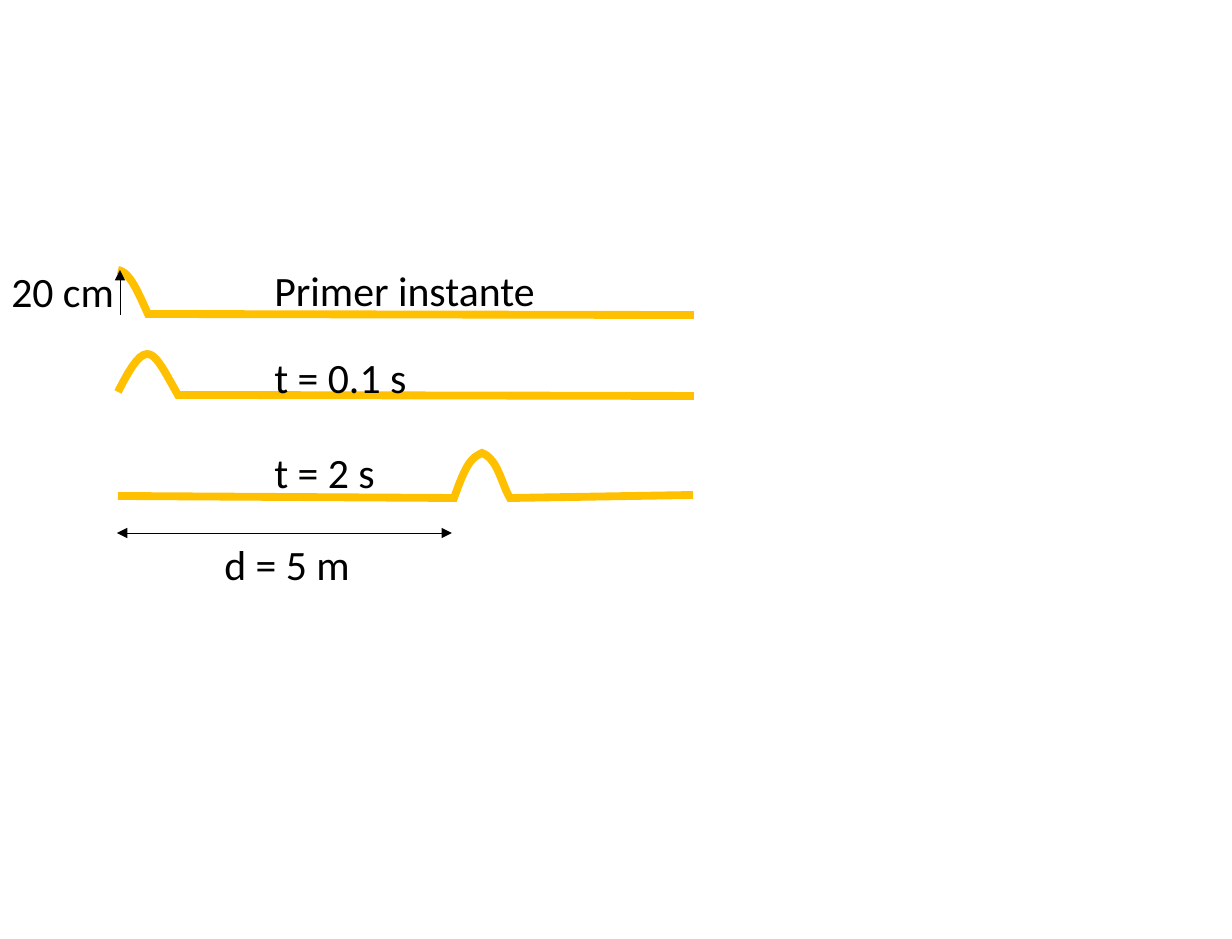
from lxml import etree
from pptx import Presentation
from pptx.dml.color import RGBColor
from pptx.enum.shapes import MSO_CONNECTOR
from pptx.enum.text import MSO_AUTO_SIZE
from pptx.oxml.ns import qn
from pptx.util import Pt

PX = 914400 / 125.2
COLORS = {"rope": "FFC000", "ink": "000000"}
CURVE_STEPS = 16


def emu(length):
    """Turn px into EMU."""
    return round(length * PX)


def add_text(text, left, top, width=303, height=63, size=24, font="Calibri", color="ink"):
    box = page.shapes.add_textbox(emu(left), emu(top), emu(width), emu(height))
    frame = box.text_frame
    frame.word_wrap = True
    frame.auto_size = MSO_AUTO_SIZE.SHAPE_TO_FIT_TEXT
    span = frame.paragraphs[0].add_run()
    span.text = text
    span.font.size = Pt(size)
    span.font.name = font
    span.font.color.rgb = RGBColor.from_string(COLORS[color])


deck = Presentation()
deck.slide_width, deck.slide_height = emu(1232), emu(939)
page = deck.slides.add_slide(deck.slide_layouts[6])

# Each rope is a start point, then segments: one point is a line, three a Bézier curve.
ropes = [
    ((118, 270), [[(130, 272), (138, 292), (148, 314)], [(694, 315)]]),
    ((118, 496), [[(454, 498)],
                  [(467, 461), (472, 458), (482, 453)],
                  [(498, 459), (501, 483), (510, 498)],
                  [(693, 495)]]),
    ((118, 392), [[(148, 332), (153, 351), (178, 395)], [(694, 396)]]),
]
for start, segments in ropes:
    points = [start]
    for segment in segments:
        if len(segment) == 1:
            points += segment
            continue
        controls = [points[-1], *segment]
        for step in range(1, CURVE_STEPS + 1):
            t = step / CURVE_STEPS
            weights = [(1 - t) ** 3, 3 * t * (1 - t) ** 2, 3 * t ** 2 * (1 - t), t ** 3]
            points.append(tuple(sum(w * point[axis] for w, point in zip(weights, controls))
                                for axis in (0, 1)))
    outline = [(emu(x), emu(y)) for x, y in points]
    builder = page.shapes.build_freeform(*outline[0])
    builder.add_line_segments(outline[1:], close=False)
    rope = builder.convert_to_shape()
    rope.shadow.inherit = False
    rope.fill.background()
    rope.line.color.rgb = RGBColor.from_string(COLORS["rope"])
    rope.line.width = Pt(4.5)
    line_xml = rope.line._get_or_add_ln()
    etree.SubElement(line_xml, qn("a:miter"), lim="800000")

arrows = [
    ((120, 315), (120, 270), ["tailEnd"]),
    ((117, 533), (452, 533), ["headEnd", "tailEnd"]),
]
for start, end, heads in arrows:
    arrow = page.shapes.add_connector(MSO_CONNECTOR.STRAIGHT, *map(emu, start + end))
    arrow.line.color.rgb = RGBColor.from_string(COLORS["ink"])
    arrow.line.width = Pt(0.5)
    line_xml = arrow.line._get_or_add_ln()
    for head in heads:
        etree.SubElement(line_xml, qn(f"a:{head}"), type="triangle")
    etree.SubElement(arrow._element.spPr, qn("a:effectLst"))

for moment, top in [("Primer instante", 259), ("t = 0.1 s", 346), ("t = 2 s", 441)]:
    add_text(moment, 262, top)
add_text("20 cm", -1, 260, width=138)
add_text("d = 5 m", 212, 533)

deck.save("out.pptx")
